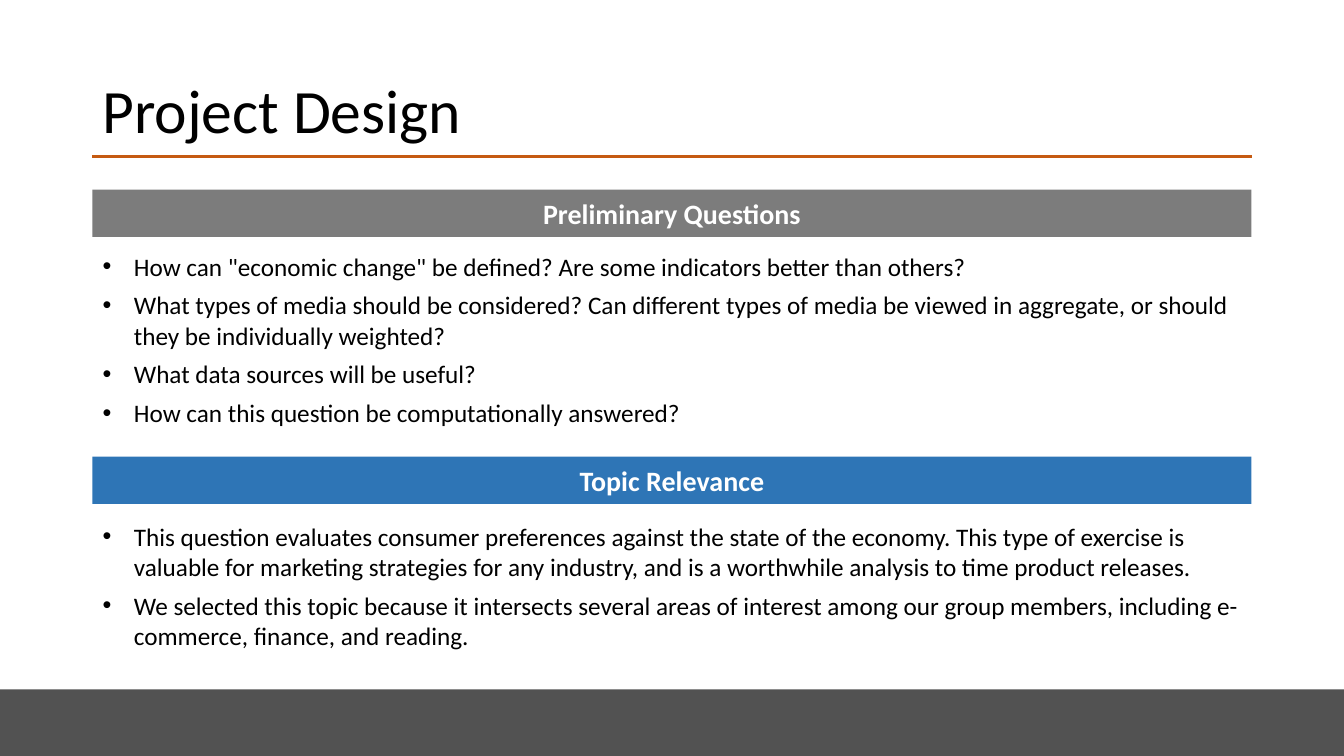
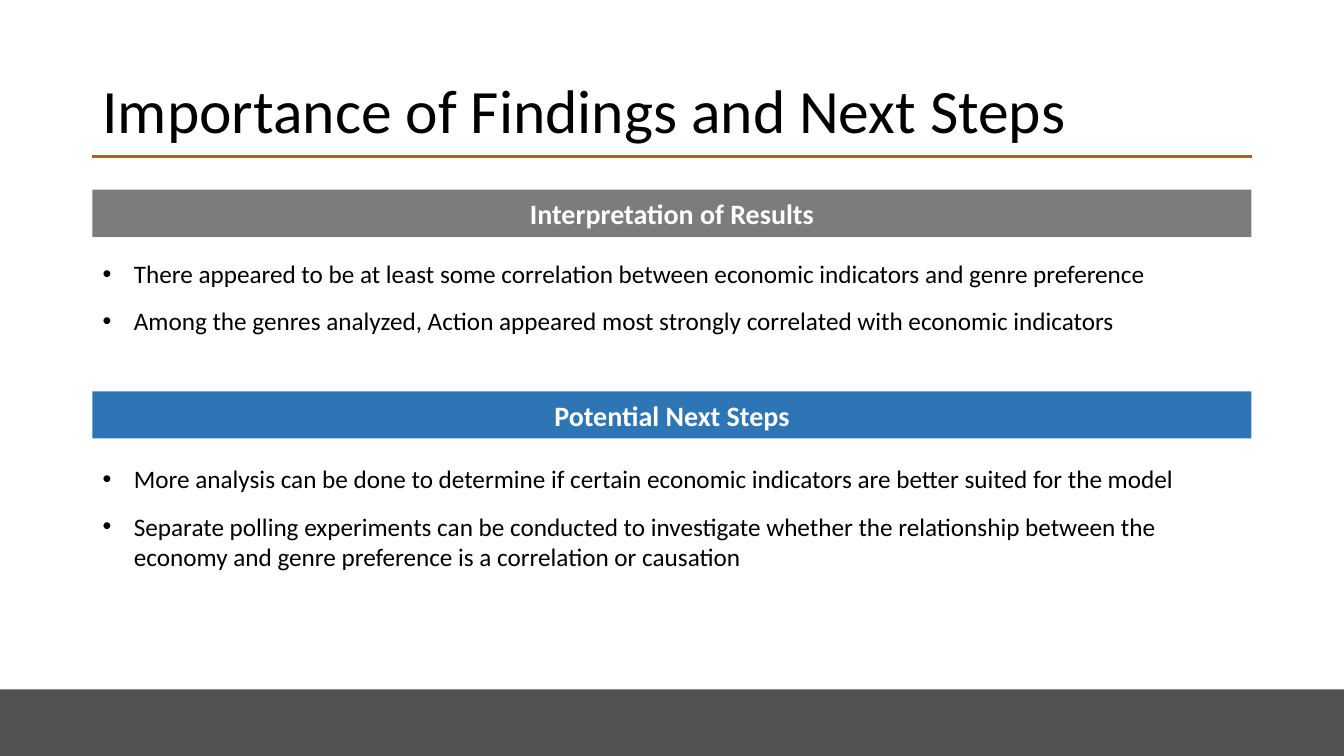
import pptx
import pptx.dml.color
import pptx.enum.shapes
import pptx.enum.text
import pptx.oxml.xmlchemy
import pptx.util

Cm, Pt = pptx.util.Cm, pptx.util.Pt
Align, Anchor = pptx.enum.text.PP_ALIGN, pptx.enum.text.MSO_ANCHOR
TWO_CONTENT = 3

PAGES = [
    {
        "title": "Project Design",
        "gap": 6,
        "sections": [
            ("Preliminary Questions", "7C7C7C", 4.78, 6.2, 4.75, [
                'How can "economic change" be defined? Are some indicators better than others?',
                "What types of media should be considered? Can different types of media be "
                "viewed in aggregate, or should they be individually weighted?",
                "What data sources will be useful?",
                "How can this question be computationally answered?",
            ]),
            ("Topic Relevance", "2E75B6", 11.51, 13, 3.56, [
                "This question evaluates consumer preferences against the state of the economy. "
                "This type of exercise is valuable for marketing strategies for any industry, "
                "and is a worthwhile analysis to time product releases.",
                "We selected this topic because it intersects several areas of interest among "
                "our group members, including e-commerce, finance, and reading.",
            ]),
        ],
    },
    {
        "title": "Importance of Findings and Next Steps",
        "gap": 12,
        "sections": [
            ("Interpretation of Results", "7C7C7C", 4.78, 6.38, 2.24, [
                "There appeared to be at least some correlation between economic indicators "
                "and genre preference",
                "Among the genres analyzed, Action appeared most strongly correlated with "
                "economic indicators",
            ]),
            ("Potential Next Steps", "2E75B6", 9.86, 11.56, 3, [
                "More analysis can be done to determine if certain economic indicators are "
                "better suited for the model",
                "Separate polling experiments can be conducted to investigate whether the "
                "relationship between the economy and genre preference is a correlation "
                "or causation",
            ]),
        ],
    },
]


def color(code):
    return pptx.dml.color.RGBColor.from_string(code)


def assign(target, values):
    for name, value in values.items():
        setattr(target, name, value)


def append_element(parent, tag, **attributes):
    element = pptx.oxml.xmlchemy.OxmlElement(tag)
    for name, value in attributes.items():
        element.set(name, value)
    parent.append(element)


class Deck:
    """Hold the shared style and the page being built."""

    width, height = 33.87, 19.05
    left, column = 2.33, 29.21
    footer_top, rule_top = 17.37, 3.94
    indent = 0.79
    font = "Calibri"
    black, white, accent, footer_fill = "000000", "FFFFFF", "C55A11", "525252"
    title_para = {"alignment": Align.LEFT, "line_spacing": 0.9}
    heading_para = {"alignment": Align.CENTER}

    def __init__(self):
        self.deck = pptx.Presentation()
        assign(self.deck, {"slide_width": Cm(self.width), "slide_height": Cm(self.height)})
        self.page = None

    def add_page(self, title):
        self.page = self.deck.slides.add_slide(self.deck.slide_layouts[TWO_CONTENT])
        self.bar(0, self.footer_top, self.width, self.height - self.footer_top,
                 self.footer_fill)
        self.rule(self.rule_top)
        box = self.page.shapes.title
        self.place(box, 1.01, 3.68, Anchor.MIDDLE)
        self.add_text(box.text_frame.paragraphs[0], title, 44, self.black, self.title_para)

    def place(self, box, top, height, anchor):
        assign(box, {"left": Cm(self.left), "top": Cm(top),
                     "width": Cm(self.column), "height": Cm(height)})
        assign(box.text_frame, {"word_wrap": True, "vertical_anchor": anchor,
                                "auto_size": pptx.enum.text.MSO_AUTO_SIZE.NONE})

    def add_text(self, para, text, size, code, para_format, bold=False):
        assign(para, para_format)
        span = para.add_run()
        span.text = text
        assign(span.font, {"name": self.font, "size": Pt(size), "bold": bold})
        span.font.color.rgb = color(code)

    def bar(self, left, top, width, height, fill):
        box = self.page.shapes.add_shape(
            pptx.enum.shapes.MSO_SHAPE.RECTANGLE, Cm(left), Cm(top), Cm(width), Cm(height))
        box.shadow.inherit = False
        box.fill.solid()
        box.fill.fore_color.rgb = color(fill)
        box.line.fill.background()
        return box

    def rule(self, top):
        connector = self.page.shapes.add_connector(
            pptx.enum.shapes.MSO_CONNECTOR.STRAIGHT,
            Cm(self.left), Cm(top), Cm(self.left + self.column), Cm(top))
        connector.line.width = Pt(2.25)
        connector.line.color.rgb = color(self.accent)
        append_element(connector._element.spPr, "a:effectLst")

    def heading(self, text, fill, top):
        box = self.bar(self.left, top, self.column, 1.19, fill)
        box.text_frame.vertical_anchor = Anchor.MIDDLE
        self.add_text(box.text_frame.paragraphs[0], text, 20, self.white,
                      self.heading_para, bold=True)

    def bullets(self, slot, items, top, height, gap):
        box = self.page.placeholders[slot]
        self.place(box, top, height, Anchor.TOP)
        frame = box.text_frame
        para_format = {"space_before": Pt(0), "space_after": Pt(gap)}
        for index, item in enumerate(items):
            para = frame.add_paragraph() if index else frame.paragraphs[0]
            self.add_text(para, item, 18, self.black, para_format)
            properties = para._p.get_or_add_pPr()
            properties.set("marL", str(Cm(self.indent)))
            properties.set("indent", str(-Cm(self.indent)))
            append_element(properties, "a:buChar", char="•")


def main():
    show = Deck()
    for content in PAGES:
        show.add_page(content["title"])
        for slot, section in enumerate(content["sections"], start=1):
            heading, fill, bar_top, list_top, list_height, items = section
            show.heading(heading, fill, bar_top)
            show.bullets(slot, items, list_top, list_height, content["gap"])
    show.deck.save("out.pptx")


if __name__ == "__main__":
    main()
